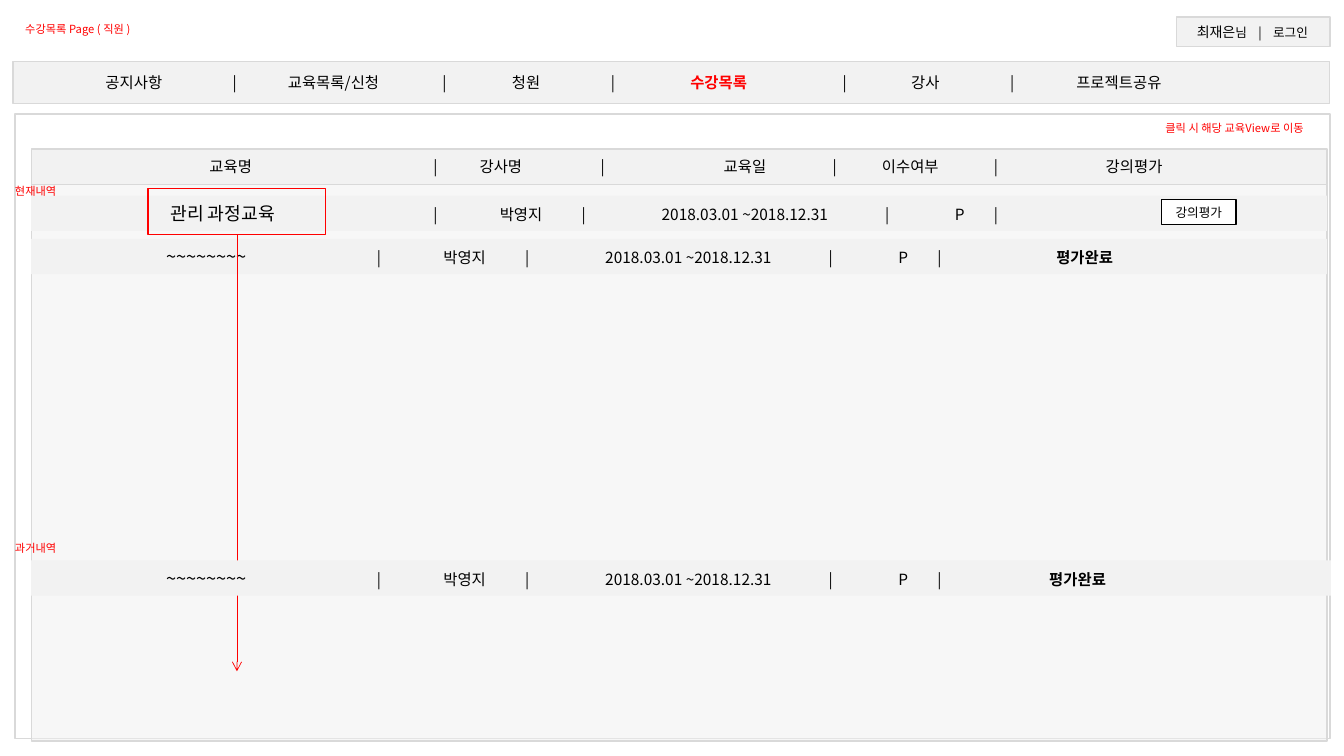
"""Build the staff course list page wireframe."""
import pptx
import pptx.dml.color
import pptx.enum.dml
import pptx.enum.shapes
import pptx.enum.text
import pptx.oxml
import pptx.oxml.ns
import pptx.util
from pptx.util import Inches

FONT = "Noto Sans CJK KR"
BLACK, RED, BLUE, WHITE = "000000", "FF0000", "5B9BD5", "FFFFFF"
BAR, BORDER, PANEL = "F2F2F2", "D9D9D9", "F0F0F0"

TITLE = ("수강목록 Page ( 직원 )", (0.15, 0.17, 2.9, 0.24))
NOTES = [
    ("과거내역", (0.05, 5.32, 0.71, 0.24)),
    ("현재내역", (0.05, 1.78, 0.71, 0.24)),
    ("클릭 시 해당 교육View로 이동", (11.46, 1.15, 1.74, 0.24)),
]
PAGE_FRAME = (0.15, 1.13, 13.04, 6.2)
LIST_PANEL = (0.31, 1.83, 12.85, 5.52)
COURSE_FRAME = (1.47, 1.87, 1.76, 0.46)
RATE_BUTTON = ("강의평가", (11.52, 1.98, 0.74, 0.25))

BOLD = {"bold": True}
LARGE = {"size": 13}
MENU = [
    ("공지사항", 1.33), ("|", 2.33), ("교육목록/신청", 3.31), ("|", 4.41),
    ("청원", 5.22), ("|", 6.08), ("수강목록", 7.13, {"bold": True, "color": RED}),
    ("|", 8.38), ("강사", 9.18), ("|", 10.04), ("프로젝트공유", 11.1),
]
LOGIN = [("최재은", 12.12, {"size": 10}), ("님", None, {"size": 9}),
         ("|", 12.5, {"size": 9}), ("로그인", 12.8, {"size": 9})]
HEADINGS = [
    ("교육명", 2.29), ("|", 4.32), ("강사명", 4.97), ("|", 5.98), ("교육일", 7.39),
    ("|", 8.28), ("이수여부", 9.03), ("|", 9.88), ("강의평가", 11.25),
]
COURSE_CENTERS = (3.76, 4.61, 5.23, 6.83, 8.24, 8.96, 9.32)
COURSE_VALUES = ("|", "박영지", "|", "2018.03.01 ~2018.12.31", "|", "P", "|")


def course_cells(name, center, shift=0, result=()):
    values = [(text, place + shift) for text, place in zip(COURSE_VALUES, COURSE_CENTERS)]
    return [(name, center, LARGE), *values, *result]


CURRENT_COURSE = course_cells("관리 과정교육", 2.21, 0.56)
RATED_COURSE = course_cells("~~~~~~~~", 2.05, 0, [("평가완료", 10.76, BOLD)])
PAST_COURSE = course_cells("~~~~~~~~", 2.05, 0, [("평가완료", 10.69, BOLD)])


def color(hex_string):
    return pptx.dml.color.RGBColor.from_string(hex_string)


def add_xml(parent, tag, **attributes):
    element = pptx.oxml.parse_xml(f"<a:{tag} {pptx.oxml.ns.nsdecls('a')}/>")
    for name, value in attributes.items():
        element.set(name, str(value))
    parent.append(element)
    return element


def set_font(paragraph, size, hex_string):
    font = paragraph.font
    font.name, font.size, font.bold = FONT, pptx.util.Pt(size), False
    font.color.rgb = color(hex_string)
    properties = paragraph._p.get_or_add_pPr().find(pptx.oxml.ns.qn("a:defRPr"))
    add_xml(properties, "ea", typeface=FONT)


def add_box(slide, box, fill=None, line=None):
    shape = slide.shapes.add_shape(
        pptx.enum.shapes.MSO_SHAPE.RECTANGLE, *map(Inches, box))
    shape.shadow.inherit = False
    if fill:
        shape.fill.solid()
        shape.fill.fore_color.rgb = color(fill)
    else:
        shape.fill.background()
    if line:
        shape.line.color.rgb = color(line)
        shape.line.width = pptx.util.Pt(1)
    else:
        shape.line.fill.background()
    return shape


def write(shape, text, size, hex_string, alignment, anchor):
    frame = shape.text_frame
    frame.word_wrap = True
    frame.vertical_anchor = anchor
    paragraph = frame.paragraphs[0]
    paragraph.text = text
    paragraph.alignment = alignment
    set_font(paragraph, size, hex_string)


def add_row(slide, box, cells, line=None):
    frame = add_box(slide, box, BAR, line).text_frame
    frame.word_wrap = True
    frame.vertical_anchor = pptx.enum.text.MSO_ANCHOR.MIDDLE
    paragraph = frame.paragraphs[0]
    paragraph.alignment = pptx.enum.text.PP_ALIGN.LEFT
    text_left = Inches(box[0]) + frame.margin_left
    tabs = add_xml(paragraph._p.get_or_add_pPr(), "tabLst")
    for text, center, *styles in cells:
        run = paragraph.add_run()
        run.text = text
        if center is not None:
            run.text = "\t" + text
            add_xml(tabs, "tab", pos=Inches(center) - text_left, algn="ctr")
        style = styles[0] if styles else {}
        if "size" in style:
            run.font.size = pptx.util.Pt(style["size"])
        if "bold" in style:
            run.font.bold = style["bold"]
        if "color" in style:
            run.font.color.rgb = color(style["color"])
    set_font(paragraph, 11, BLACK)


def add_line(slide, start, end, hex_string, width):
    connector = slide.shapes.add_connector(
        pptx.enum.shapes.MSO_CONNECTOR.STRAIGHT, *map(Inches, start + end))
    connector.line.color.rgb = color(hex_string)
    connector.line.width = pptx.util.Pt(width)
    add_xml(connector._element.spPr, "effectLst")
    return connector


def main():
    presentation = pptx.Presentation()
    presentation.slide_width, presentation.slide_height = Inches(13.33), Inches(7.5)
    slide = presentation.slides.add_slide(presentation.slide_layouts[5])
    left, center = pptx.enum.text.PP_ALIGN.LEFT, pptx.enum.text.PP_ALIGN.CENTER
    top, middle = pptx.enum.text.MSO_ANCHOR.TOP, pptx.enum.text.MSO_ANCHOR.MIDDLE

    title = slide.shapes.title
    text, box = TITLE
    title.left, title.top, title.width, title.height = map(Inches, box)
    write(title, text, 8, RED, left, top)
    title.text_frame.auto_size = pptx.enum.text.MSO_AUTO_SIZE.NONE

    add_box(slide, PAGE_FRAME, line=BORDER)
    add_row(slide, (0.13, 0.61, 13.06, 0.42), MENU, BORDER)
    add_row(slide, (11.67, 0.17, 1.52, 0.29), LOGIN, BORDER)
    add_row(slide, (0.31, 1.48, 12.85, 0.35), HEADINGS, BORDER)
    panel = add_box(slide, LIST_PANEL, PANEL, BORDER)
    panel_color = panel._element.spPr.find(".//" + pptx.oxml.ns.qn("a:srgbClr"))
    add_xml(panel_color, "alpha", val=50000)
    add_line(slide, (0.31, 5.57), (13.18, 5.57), BLUE, 1)

    add_row(slide, (0.31, 1.94, 12.85, 0.35), CURRENT_COURSE)
    for text, box in NOTES:
        write(slide.shapes.add_textbox(*map(Inches, box)), text, 8, RED, left, top)
    text, box = RATE_BUTTON
    write(add_box(slide, box, WHITE, BLACK), text, 9, BLACK, center, middle)
    add_row(slide, (0.31, 2.37, 12.85, 0.35), RATED_COURSE)
    add_box(slide, COURSE_FRAME, line=RED)
    arrow = add_line(slide, (2.35, 2.33), (2.35, 6.66), RED, 0.5)
    add_xml(arrow.line._get_or_add_ln(), "tailEnd", type="arrow")
    add_row(slide, (0.31, 5.56, 12.89, 0.35), PAST_COURSE)

    presentation.save("out.pptx")


if __name__ == "__main__":
    main()
